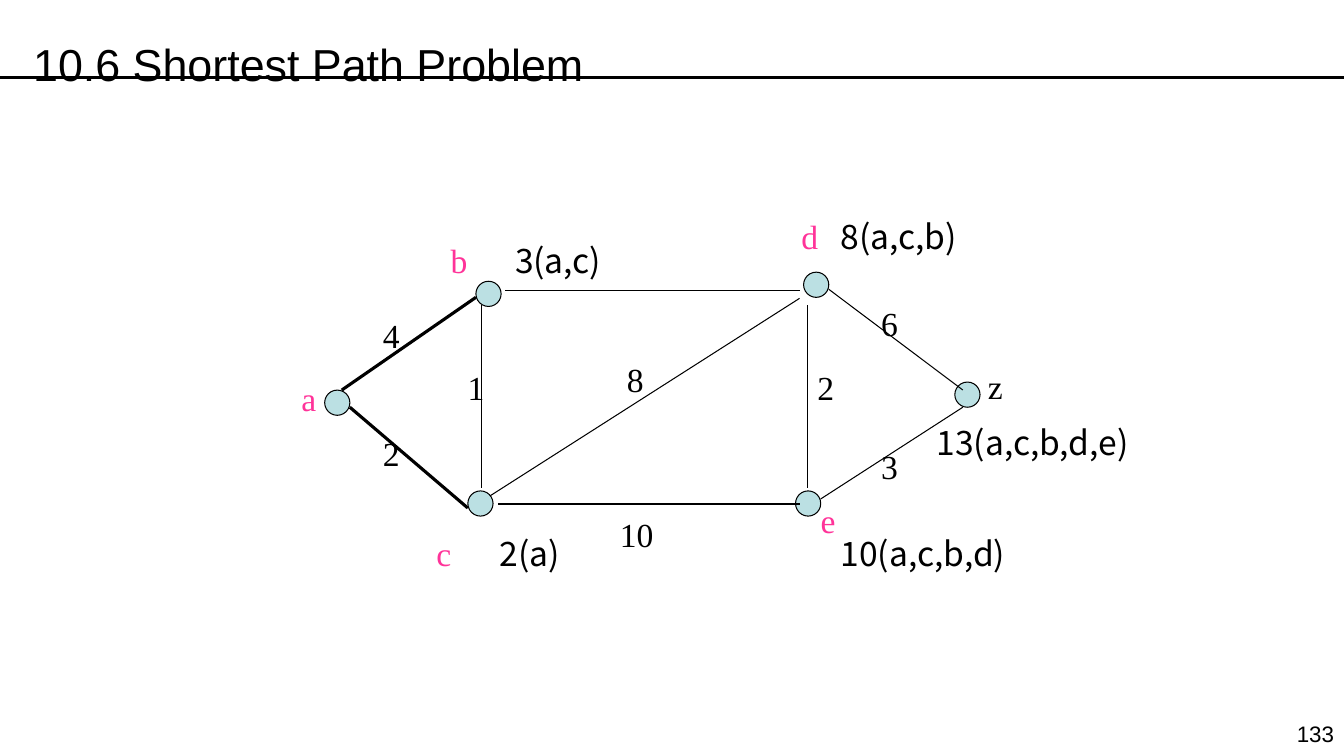
from dataclasses import dataclass

from lxml import etree
from pptx import Presentation
from pptx import util as u
from pptx.dml.color import RGBColor
from pptx.enum import shapes, text
from pptx.oxml.ns import qn


@dataclass(frozen=True)
class Theme:
    ink: RGBColor = RGBColor(0x00, 0x00, 0x00)
    accent: RGBColor = RGBColor(0xFF, 0x33, 0x99)
    vertex: RGBColor = RGBColor(0xBB, 0xE0, 0xE3)
    sans: str = "Arial"
    serif: str = "Times New Roman"
    cjk: str = "Noto Sans CJK SC"
    title_size: float = 32
    label_size: float = 24
    number_size: float = 16
    thin: float = 0.75
    thick: float = 2.25


class GraphSlide:
    """Holds the theme and the slide being drawn."""

    def __init__(self, slide, theme):
        self.slide = slide
        self.theme = theme

    def line(self, start, end, weight):
        connector = self.slide.shapes.add_connector(
            shapes.MSO_CONNECTOR.STRAIGHT, *map(u.Inches, start + end))
        connector.line.color.rgb = self.theme.ink
        connector.line.width = u.Pt(weight)
        etree.SubElement(connector._element.spPr, qn("a:effectLst"))

    def vertex(self, left, top):
        size = u.Inches(0.25)
        shape = self.slide.shapes.add_shape(
            shapes.MSO_SHAPE.OVAL, u.Inches(left), u.Inches(top), size, size)
        shape.shadow.inherit = False
        shape.fill.solid()
        shape.fill.fore_color.rgb = self.theme.vertex
        shape.line.color.rgb = self.theme.ink
        shape.line.width = u.Pt(self.theme.thin)

    def text(self, words, box, font, size, color=None,
             anchor=text.MSO_ANCHOR.TOP):
        shape = self.slide.shapes.add_textbox(*map(u.Inches, box))
        frame = shape.text_frame
        frame.word_wrap = box[2] > 0.4
        frame.vertical_anchor = anchor
        paragraph = frame.paragraphs[0]
        paragraph.text = words
        paragraph.font.name = font
        paragraph.font.size = u.Pt(size)
        paragraph.font.color.rgb = color or self.theme.ink
        return shape

    def letter(self, words, left, top, width=0.37, color=None):
        self.text(words, (left, top, width, 0.5), self.theme.serif,
                  self.theme.label_size, color)

    def distance(self, words, left, top, width):
        self.text(words, (left, top, width, 0.5), self.theme.cjk,
                  self.theme.label_size, anchor=text.MSO_ANCHOR.MIDDLE)

    def title(self, words):
        shape = self.text(words, (0.23, 0, 12.09, 0.81),
                          self.theme.sans, self.theme.title_size)
        shape.text_frame.margin_top = u.Inches(0.1)
        shape.text_frame.paragraphs[0].line_spacing = 1.5

    def page_number(self, words):
        shape = self.text(words, (12.7, 7.1, 0.63, 0.37),
                          self.theme.sans, self.theme.number_size)
        shape.text_frame.paragraphs[0].alignment = text.PP_ALIGN.RIGHT


def main():
    presentation = Presentation()
    presentation.slide_width = u.Inches(13.33)
    presentation.slide_height = u.Inches(7.5)
    slide = presentation.slides.add_slide(presentation.slide_layouts[6])
    theme = Theme()
    graph = GraphSlide(slide, theme)

    # Heading, rule and page number
    graph.line((0, 0.77), (13.33, 0.77), theme.thick)
    graph.page_number("133")
    graph.title("10.6 Shortest Path Problem")

    # Vertices a, b, c, e, d, z
    for left, top in [(3.22, 3.87), (4.72, 2.79), (4.64, 4.87),
                      (7.89, 4.87), (7.97, 2.7), (9.47, 3.79)]:
        graph.vertex(left, top)

    # Edges; the heavy ones leave the start vertex
    for start, end, weight in [
        ((3.39, 3.87), (4.72, 2.95), theme.thick),
        ((3.47, 4.04), (4.64, 5.04), theme.thick),
        ((5.01, 2.88), (7.93, 2.88), theme.thin),
        ((8.22, 2.87), (9.55, 3.87), theme.thin),
        ((4.86, 4.92), (7.93, 2.96), theme.thin),
        ((4.94, 5), (7.93, 5), theme.thin),
        ((8.14, 4.95), (9.55, 4.04), theme.thin),
        ((4.78, 3.03), (4.78, 4.84), theme.thin),
        ((8.01, 3.03), (8.01, 4.84), theme.thin),
    ]:
        graph.line(start, end, weight)

    # Edge weights
    for words, left, top, width in [
        ("2", 3.7, 4.25, 0.37), ("4", 3.7, 3.08, 0.37),
        ("6", 8.64, 2.96, 0.37), ("8", 6.12, 3.51, 0.53),
        ("10", 6.05, 5.05, 0.71), ("3", 8.64, 4.37, 0.37),
        ("1", 4.54, 3.59, 0.53), ("2", 8.01, 3.59, 0.37),
    ]:
        graph.letter(words, left, top, width)

    # Vertex names
    for name, left, top in [("a", 2.89, 3.7), ("b", 4.37, 2.33),
                            ("c", 4.23, 5.24), ("d", 7.85, 2.09),
                            ("e", 8.04, 4.91)]:
        graph.letter(name, left, top, color=theme.accent)
    graph.letter("z", 9.7, 3.58)

    # Shortest distances with their paths
    for words, left, top, width in [
        ("13(a,c,b,d,e)", 9.19, 4.14, 2.44), ("2(a)", 4.86, 5.24, 1.02),
        ("3(a,c)", 5.01, 2.33, 1.73), ("8(a,c,b)", 8.24, 2.09, 1.73),
        ("10(a,c,b,d)", 8.24, 5.24, 2.36),
    ]:
        graph.distance(words, left, top, width)

    presentation.save("out.pptx")


if __name__ == "__main__":
    main()
